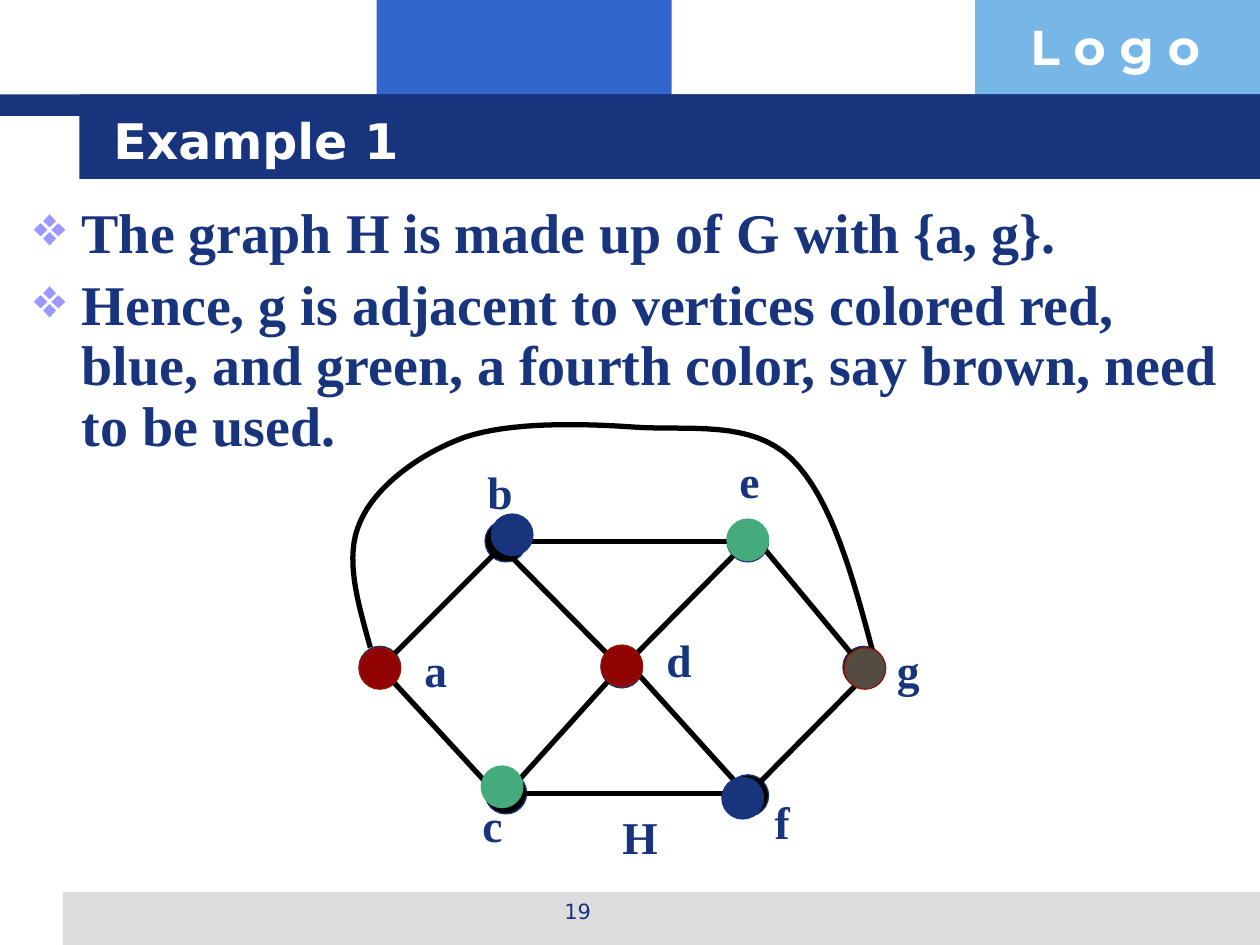
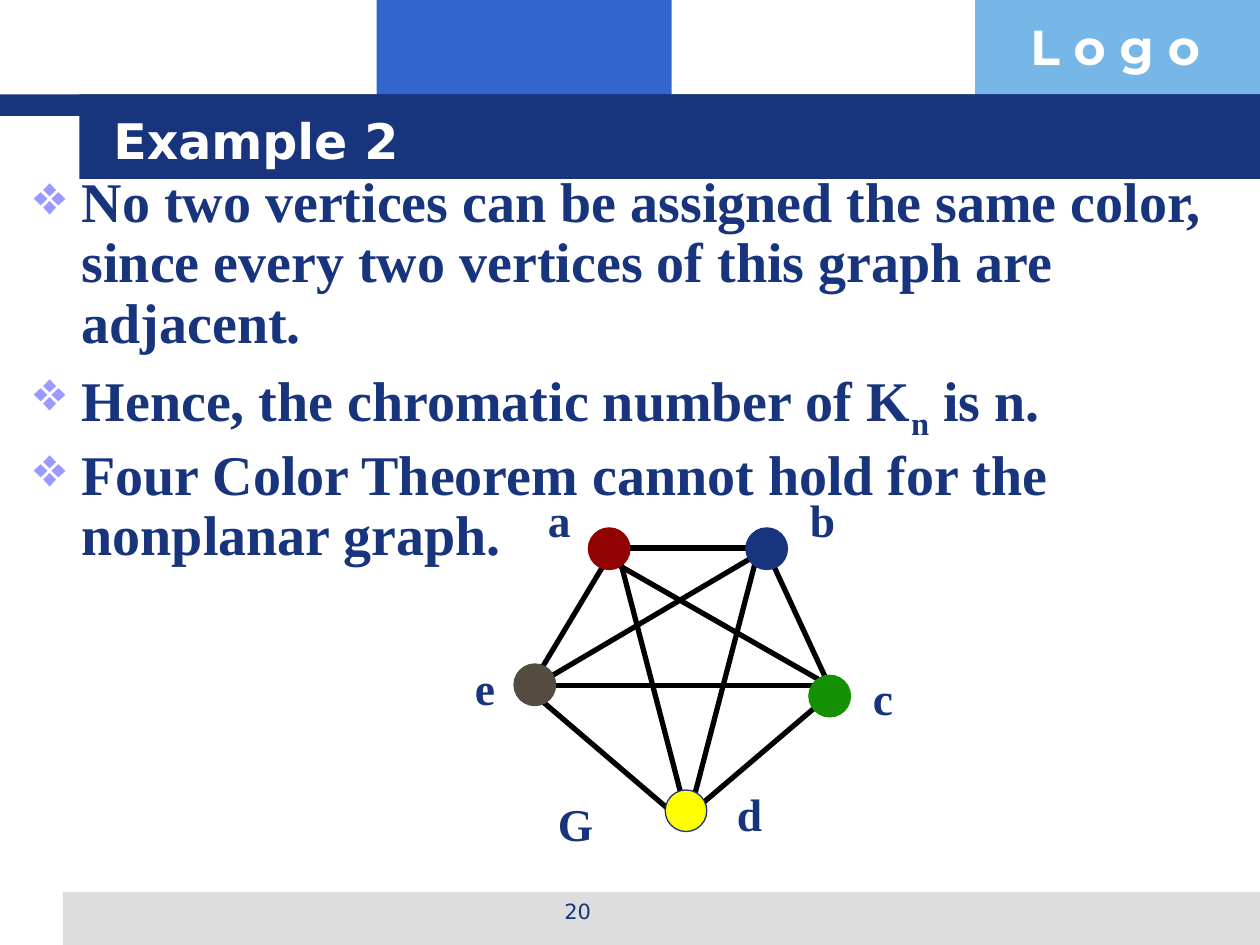
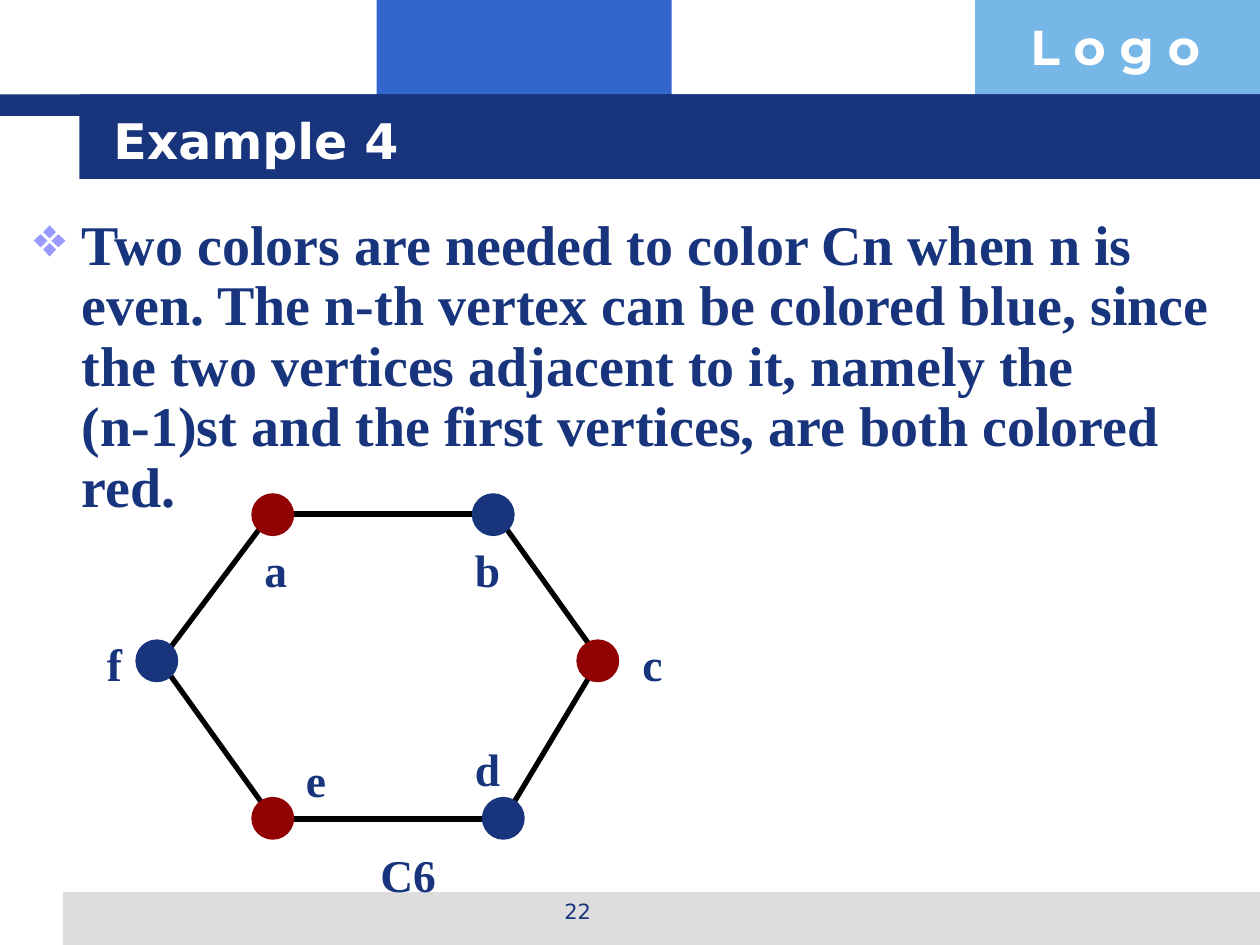
from dataclasses import dataclass
from typing import Any

from lxml import etree
from pptx import Presentation
from pptx import util as u
from pptx.dml.color import RGBColor
from pptx.enum import shapes, text
from pptx.oxml.ns import qn
from pptx.slide import Slide

# Shared look
HEX = {
    "navy": "17347D", "blue": "3366CC", "sky": "77B7E7", "grey": "DDDDDD",
    "white": "FFFFFF", "black": "000000", "lilac": "9999FF", "red": "910303",
    "rust": "8C1602", "mint": "45AB7D", "brown": "544C40", "green": "159004",
    "yellow": "FFFF00",
}
HEAD = {"name": "DejaVu Sans", "size": u.Pt(28), "bold": True}
LOGO = {"name": "Montserrat", "size": u.Pt(28), "bold": True}
BODY = {"name": "Times New Roman", "size": u.Pt(32), "bold": True}
NOTE = {"name": "Times New Roman", "size": u.Pt(26), "bold": True}
FOOT = {"name": "DejaVu Sans", "size": u.Pt(12), "bold": False}
FIT = {"word_wrap": False, "auto_size": text.MSO_AUTO_SIZE.SHAPE_TO_FIT_TEXT}
GRID = 2.54  # centimetres in one grid unit
DOT = 0.33
WIDTH = {"a": 0.38, "b": 0.4, "c": 0.36, "d": 0.4, "e": 0.36, "f": 0.32,
         "g": 0.38, "G": 0.48, "H": 0.48, "C6": 0.64}


@dataclass(frozen=True)
class Band:
    x: float
    y: float
    w: float
    h: float
    fill: str


@dataclass(frozen=True)
class Dot:
    x: float
    y: float
    fill: str
    line: str = ""


@dataclass(frozen=True)
class Label:
    text: str
    x: float
    y: float


@dataclass(frozen=True)
class Edge:
    x1: float
    y1: float
    x2: float
    y2: float


@dataclass(frozen=True)
class Page:
    title: str
    number: int
    top: float
    high: float
    paras: list[tuple[str, ...]]  # every second piece is a subscript
    labels: list[Label]
    edges: list[Edge]
    dots: list[Dot]
    under: tuple[Dot, ...] = ()
    curve: tuple[tuple[float, float], ...] = ()


BANDS = [
    Band(2.99, 0, 2.34, 0.92, "blue"),
    Band(7.74, 0, 2.26, 0.92, "sky"),
    Band(0.5, 7.08, 9.5, 0.42, "grey"),
    Band(0, 0.75, 10, 0.17, "navy"),
    Band(0.63, 0.75, 9.37, 0.67, "navy"),
]

PAGES = [
    Page(
        "Example 1", 19, 1.58, 2.25,
        [("The graph H is made up of G with {a, g}.",),
         ("Hence, g is adjacent to vertices colored red, blue, and green, "
          "a fourth color, say brown, need to be used.",)],
        [Label("H", 4.84, 6.37), Label("f", 6.05, 6.25), Label("c", 3.73, 6.28),
         Label("b", 3.77, 3.63), Label("e", 5.77, 3.55), Label("g", 7.02, 5.05),
         Label("a", 3.27, 5.05), Label("d", 5.19, 4.97)],
        [Edge(3.1, 5.22, 3.94, 4.38), Edge(4.19, 4.3, 5.85, 4.3),
         Edge(6.02, 4.3, 6.85, 5.3), Edge(3.02, 5.3, 3.94, 6.3),
         Edge(4.02, 6.3, 4.85, 5.38), Edge(5.02, 5.22, 5.85, 4.38),
         Edge(4.1, 6.3, 5.85, 6.3), Edge(6.02, 6.22, 6.85, 5.38),
         Edge(4.02, 4.38, 4.85, 5.22), Edge(5.02, 5.3, 5.85, 6.22)],
        [Dot(2.85, 5.14, "red", "rust"), Dot(5.77, 4.12, "mint"),
         Dot(4.77, 5.12, "red", "rust"), Dot(3.9, 4.08, "navy"),
         Dot(6.7, 5.14, "brown", "rust"), Dot(3.82, 6.08, "mint"),
         Dot(5.73, 6.17, "navy")],
        tuple(Dot(x, y, "black", "navy") for x, y in (
            (3.85, 4.13), (2.85, 5.13), (3.85, 6.13), (4.77, 5.13),
            (5.77, 4.13), (5.77, 6.15), (6.69, 5.13))),
        ((2.94, 5.14), (2.84, 4.78), (2.73, 4.42), (2.86, 4.14),
         (2.98, 3.86), (3.33, 3.6), (3.69, 3.47),
         (4.05, 3.35), (4.6, 3.36), (5.03, 3.39),
         (5.46, 3.42), (5.96, 3.33), (6.28, 3.64),
         (6.6, 3.95), (6.77, 4.58), (6.94, 5.22)),
    ),
    Page(
        "Example 2", 20, 1.33, 3.25,
        [("No two vertices can be assigned the same color, since every two "
          "vertices of this graph are adjacent.",),
         ("Hence, the chromatic number of K", "n", " is n."),
         ("Four Color Theorem cannot hold for the nonplanar graph.",)],
        [Label("G", 4.33, 6.27), Label("a", 4.25, 3.86), Label("b", 6.33, 3.86),
         Label("d", 5.75, 6.19), Label("e", 3.67, 5.19), Label("c", 6.83, 5.27)],
        [Edge(4.17, 5.52, 4.92, 4.27), Edge(4.83, 4.35, 6.17, 4.35),
         Edge(4.25, 5.52, 5.42, 6.52), Edge(6.58, 5.44, 6.08, 4.36),
         Edge(5.5, 6.44, 6.58, 5.52), Edge(5.42, 6.36, 4.92, 4.44),
         Edge(5.5, 6.36, 6, 4.44), Edge(4.33, 5.44, 6.5, 5.44),
         Edge(4.25, 5.44, 6.08, 4.36), Edge(4.83, 4.44, 6.58, 5.44)],
        [Dot(4.67, 4.19, "red"), Dot(4.08, 5.27, "brown"),
         Dot(5.28, 6.27, "yellow", "navy"), Dot(6.42, 5.36, "green"),
         Dot(5.92, 4.19, "navy")],
    ),
    Page(
        "Example 4", 22, 1.67, 2.08,
        [("Two colors are needed to color Cn when n is even. The n-th vertex "
          "can be colored blue, since the two vertices adjacent to it, namely "
          "the (n-1)st and the first vertices, are both colored red.",)],
        [Label("a", 2, 4.25), Label("b", 3.67, 4.25), Label("C6", 2.92, 6.67),
         Label("c", 5, 5), Label("d", 3.67, 5.83), Label("e", 2.33, 5.92),
         Label("f", 0.75, 5)],
        [Edge(1.33, 5.17, 2.08, 4.17), Edge(1.33, 5.33, 2.17, 6.5),
         Edge(4, 4.17, 4.83, 5.33), Edge(4, 6.5, 4.75, 5.25),
         Edge(2.25, 6.5, 4.08, 6.5), Edge(2.17, 4.08, 3.75, 4.08)],
        [Dot(2, 6.33, "red"), Dot(3.75, 3.92, "navy"), Dot(2, 3.92, "red"),
         Dot(1.08, 5.08, "navy"), Dot(3.83, 6.33, "navy"),
         Dot(4.58, 5.08, "red")],
    ),
]


# Helpers
def cm(*units: float) -> list[u.Length]:
    return [u.Cm(n * GRID) for n in units]


def rgb(name: str) -> RGBColor:
    return RGBColor.from_string(HEX[name])


def assign(item: Any, form: dict[str, Any]) -> None:
    for key, value in form.items():
        setattr(item, key, value)


def ink(font: Any, form: dict[str, Any], tint: str) -> None:
    assign(font, form)
    font.color.rgb = rgb(tint)


def stroke(line: Any, tint: str, width: float) -> None:
    line.color.rgb = rgb(tint)
    line.width = u.Pt(width)


def add_solid(slide: Slide, kind: Any, box: list[u.Length], fill: str) -> Any:
    shape = slide.shapes.add_shape(kind, *box)
    shape.shadow.inherit = False
    shape.fill.solid()
    shape.fill.fore_color.rgb = rgb(fill)
    shape.line.fill.background()
    return shape


def add_words(slide: Slide, words: str, box: list[u.Length], form: dict[str, Any],
              tint: str = "navy", frame: dict[str, Any] = FIT) -> Any:
    area = slide.shapes.add_textbox(*box).text_frame
    assign(area, frame)
    para = area.paragraphs[0]
    para.text = words
    ink(para.runs[0].font, form, tint)
    return para


# Graph parts
def add_dot(slide: Slide, dot: Dot) -> None:
    shape = add_solid(slide, shapes.MSO_SHAPE.OVAL,
                      cm(dot.x, dot.y, DOT, DOT), dot.fill)
    stroke(shape.line, dot.line or dot.fill, 0.75)


def add_edge(slide: Slide, edge: Edge) -> None:
    link = slide.shapes.add_connector(
        shapes.MSO_CONNECTOR.STRAIGHT, *cm(edge.x1, edge.y1, edge.x2, edge.y2))
    stroke(link.line, "black", 3)
    etree.SubElement(link._element.spPr, qn("a:effectLst"))


def add_curve(slide: Slide, knots: tuple[tuple[float, float], ...]) -> None:
    """Draw joined cubic curves as one smooth outline."""
    steps = 16
    points = []
    for i in range(0, len(knots) - 1, 3):
        for j in range(1, steps + 1):
            t = j / steps
            mix = ((1 - t) ** 3, 3 * t * (1 - t) ** 2, 3 * t * t * (1 - t), t ** 3)
            points.append(cm(*(sum(m * k[axis] for m, k in zip(mix, knots[i:i + 4]))
                               for axis in (0, 1))))
    maker = slide.shapes.build_freeform(*cm(*knots[0]))
    maker.add_line_segments(points, close=False)
    shape = maker.convert_to_shape()
    shape.shadow.inherit = False
    shape.fill.background()
    stroke(shape.line, "black", 3)


# Slide parts
def add_frame(slide: Slide, page: Page) -> None:
    for band in BANDS:
        add_solid(slide, shapes.MSO_SHAPE.RECTANGLE,
                  cm(band.x, band.y, band.w, band.h), band.fill)
    add_words(slide, "L o g o", cm(8.08, 0.08, 1.93, 0.57), LOGO, "white",
              FIT | {"word_wrap": True})
    foot = add_words(slide, str(page.number), cm(3.42, 7.08, 2.33, 0.35), FOOT,
                     frame={"word_wrap": True})
    foot.alignment = text.PP_ALIGN.CENTER


def add_title(slide: Slide, words: str) -> None:
    title = slide.shapes.title
    assign(title, dict(zip(("left", "top", "width", "height"),
                           cm(0.8, 0.8, 8.53, 0.62))))
    assign(title.text_frame, {"text": words, "word_wrap": True,
                              "auto_size": text.MSO_AUTO_SIZE.NONE,
                              "vertical_anchor": text.MSO_ANCHOR.MIDDLE})
    para = title.text_frame.paragraphs[0]
    para.alignment = text.PP_ALIGN.LEFT
    ink(para.runs[0].font, HEAD, "white")
    slide.shapes._spTree.append(title._element)  # in front of the bands


def add_bullet(para: Any) -> None:
    props = para._p.get_or_add_pPr()
    hang = u.Cm(0.38 * GRID)
    props.set("marL", str(hang))
    props.set("indent", str(-hang))
    tint = etree.SubElement(props, qn("a:buClr"))
    etree.SubElement(tint, qn("a:srgbClr"), val=HEX["lilac"])
    etree.SubElement(props, qn("a:buChar"), char="❖")


def add_body(slide: Slide, page: Page) -> None:
    area = slide.shapes.add_textbox(*cm(0.17, page.top, 9.67, page.high)).text_frame
    area.word_wrap = True
    for i, parts in enumerate(page.paras):
        para = area.add_paragraph() if i else area.paragraphs[0]
        add_bullet(para)
        assign(para, {"line_spacing": 0.9, "space_before": u.Pt(6.4 if i else 0)})
        for j, part in enumerate(parts):
            run = para.add_run()
            run.text = part
            ink(run.font, BODY, "navy")
            if j % 2:
                run._r.get_or_add_rPr().set("baseline", "-25000")


def add_graph(slide: Slide, page: Page) -> None:
    for dot in page.under:
        add_dot(slide, dot)
    for edge in page.edges:
        add_edge(slide, edge)
    if page.curve:
        add_curve(slide, page.curve)
    for dot in page.dots:
        add_dot(slide, dot)
    for label in page.labels:
        add_words(slide, label.text,
                  cm(label.x, label.y, WIDTH[label.text], 0.53), NOTE)


def main() -> None:
    deck = Presentation()
    deck.slide_width, deck.slide_height = cm(10, 7.5)
    for page in PAGES:
        slide = deck.slides.add_slide(deck.slide_layouts[5])
        add_frame(slide, page)
        add_title(slide, page.title)
        add_body(slide, page)
        add_graph(slide, page)
    deck.save("out.pptx")


if __name__ == "__main__":
    main()
